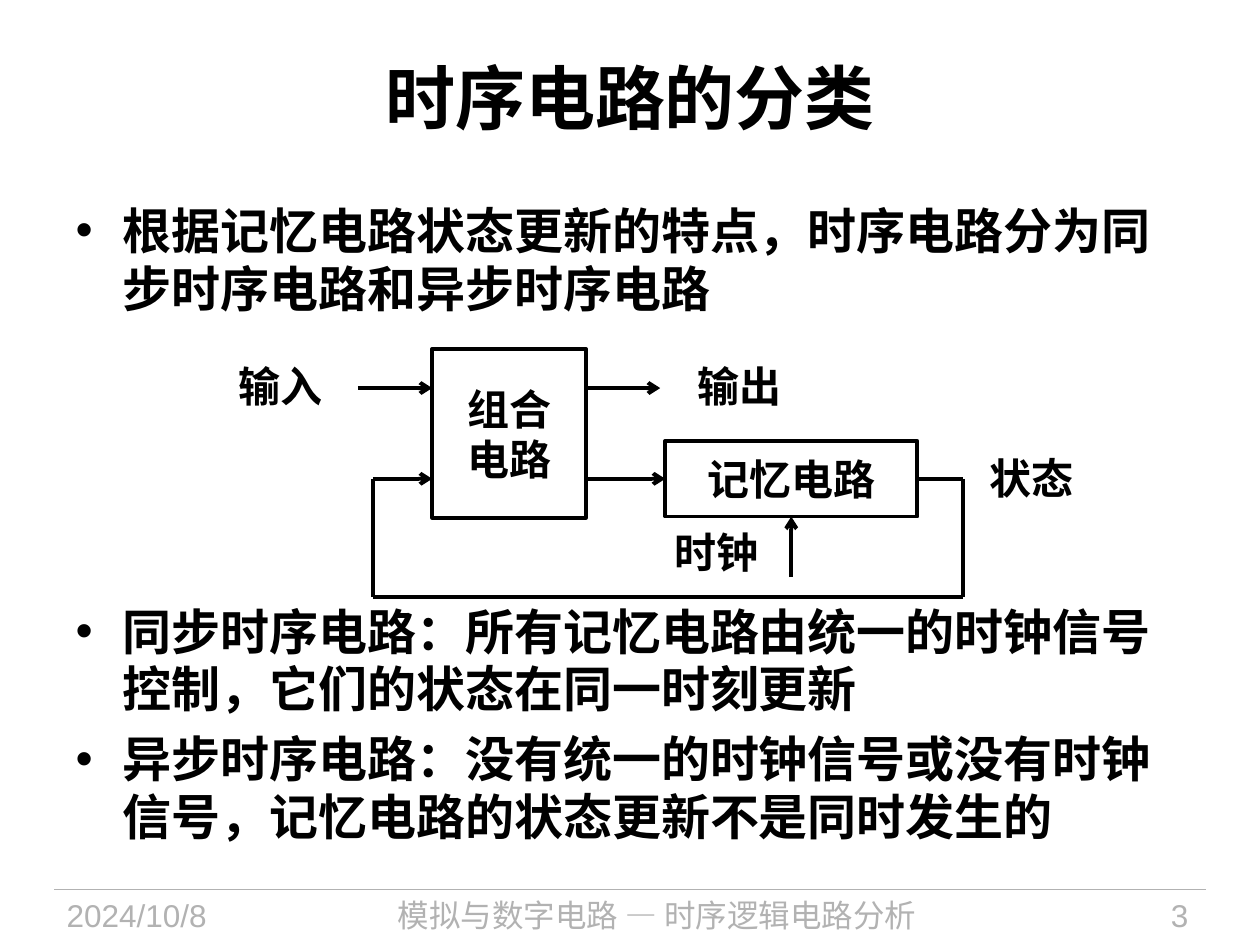
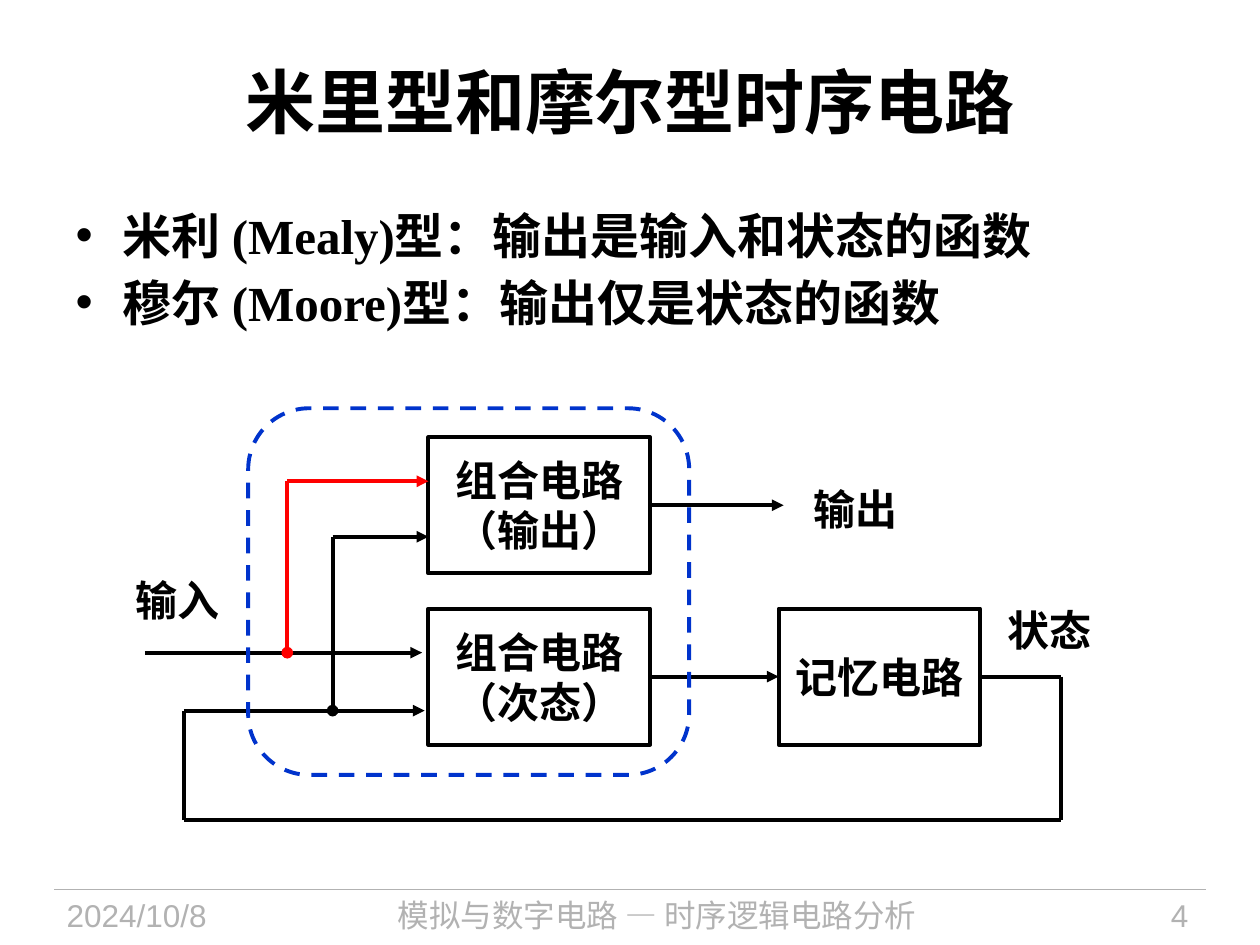
"""Builds two slides on the classes of sequential circuits."""
from lxml import etree
from pptx import Presentation
from pptx.dml.color import RGBColor
from pptx.enum.dml import MSO_LINE
from pptx.enum.shapes import MSO_CONNECTOR, MSO_SHAPE
from pptx.enum.text import MSO_ANCHOR, MSO_AUTO_SIZE, PP_ALIGN
from pptx.oxml.ns import qn
from pptx.util import Inches, Pt

BLACK = RGBColor(0x00, 0x00, 0x00)
WHITE = RGBColor(0xFF, 0xFF, 0xFF)
GREY = RGBColor(0xB2, 0xB2, 0xB2)
RED = RGBColor(0xFF, 0x00, 0x00)
BLUE = RGBColor(0x00, 0x33, 0xCC)
LEFT, MID, RIGHT = PP_ALIGN.LEFT, PP_ALIGN.CENTER, PP_ALIGN.RIGHT
TOP, CORE = MSO_ANCHOR.TOP, MSO_ANCHOR.MIDDLE
FIXED = MSO_AUTO_SIZE.NONE
RECT, ROUND = MSO_SHAPE.RECTANGLE, MSO_SHAPE.ROUNDED_RECTANGLE
DASH, STRAIGHT = MSO_LINE.DASH, MSO_CONNECTOR.STRAIGHT
SERIF, SANS, HAN = "Times New Roman", "Arial", "Noto Sans CJK SC"

HEAD = {"name": SERIF, "size": Pt(40), "bold": True}
BODY = {"name": SERIF, "size": Pt(28), "bold": True}
BLOCK = {"name": SANS, "size": Pt(24), "bold": True}
LABEL = {"name": SERIF, "size": Pt(24), "bold": True}
FOOT = {"size": Pt(18), "bold": False}
TIGHT = {"margin_left": 0, "margin_right": 0, "margin_top": 0,
         "margin_bottom": 0, "vertical_anchor": CORE}

DATE = "2024/10/8"
COURSE = "模拟与数字电路 — 时序逻辑电路分析"
RULE = [(0.43, 7.06), (9.57, 7.06)]

SLIDES = [
    {
        "title": ("时序电路的分类", (0.5, 0.14, 9, 1.25)),
        "at": (0.5, 1.55, 9, 5.43),
        "body": [
            ("根据记忆电路状态更新的特点，时序电路分为同步时序电路和异步时序电路", 0),
            ("同步时序电路：所有记忆电路由统一的时钟信号控制，它们的状态在同一时刻更新", 163),
            ("异步时序电路：没有统一的时钟信号或没有时钟信号，记忆电路的状态更新不是同时发生的", 7),
        ],
        "boxes": {
            "logic": (["组合", "电路"], (3.43, 2.77, 1.22, 1.34)),
            "store": (["记忆电路"], (5.28, 3.5, 2, 0.6)),
        },
        "wires": [
            {"pts": [(2.84, 3.08), (3.43, 3.08)], "tail": "arrow"},
            {"pts": [(4.65, 3.08), (5.24, 3.08)], "tail": "arrow"},
            {"pts": [(4.65, 3.8), (5.28, 3.8)], "tail": "arrow",
             "end": ("store", 1)},
            {"pts": [(6.28, 4.58), (6.28, 4.1)], "tail": "arrow",
             "end": ("store", 2)},
            {"pts": [(7.28, 3.8), (7.64, 3.8), (7.64, 4.74), (2.96, 4.74),
                     (2.96, 3.8), (3.43, 3.8)],
             "tail": "arrow", "begin": ("store", 3)},
        ],
        "labels": [
            ("输入", (1.58, 2.86, 1.3, 0.4)),
            ("输出", (5.24, 2.86, 1.26, 0.4)),
            ("时钟", (5.16, 4.18, 1.06, 0.4)),
            ("状态", (7.56, 3.59, 1.26, 0.4)),
        ],
    },
    {
        "title": ("米里型和摩尔型时序电路", (0.5, 0.17, 9, 1.25)),
        "at": (0.5, 1.59, 9, 1.41),
        "body": [
            ("米利 (Mealy)型：输出是输入和状态的函数", 0),
            ("穆尔 (Moore)型：输出仅是状态的函数", 5),
        ],
        "boxes": {
            "out": (["组合电路", "（输出）"], (3.4, 3.47, 1.76, 1.08)),
            "next": (["组合电路", "（次态）"], (3.4, 4.83, 1.76, 1.08)),
            "store": (["记忆电路"], (6.18, 4.83, 1.6, 1.08)),
        },
        "wires": [
            {"pts": [(1.15, 5.18), (3.35, 5.18)], "tail": "triangle"},
            {"pts": [(7.78, 5.37), (8.42, 5.37), (8.42, 6.51), (1.46, 6.51),
                     (1.46, 5.64), (3.37, 5.64)],
             "tail": "triangle", "begin": ("store", 3)},
            {"pts": [(2.64, 5.64), (2.64, 4.26), (3.4, 4.26)],
             "head": "oval", "tail": "triangle"},
            {"pts": [(2.28, 5.18), (2.28, 3.82), (3.4, 3.82)],
             "head": "oval", "tail": "triangle", "hue": RED},
            {"pts": [(5.16, 5.37), (6.18, 5.37)], "tail": "triangle",
             "begin": ("next", 3), "end": ("store", 1)},
            {"pts": [(5.16, 4.01), (6.22, 4.01)], "tail": "triangle",
             "begin": ("out", 3)},
        ],
        "labels": [
            ("输出", (6.3, 3.79, 0.98, 0.5)),
            ("状态", (7.84, 4.75, 0.98, 0.5)),
            ("输入", (0.94, 4.51, 0.94, 0.5)),
        ],
        "frame": (1.97, 3.24, 3.5, 2.91),
    },
]


def apply(obj, form):
    for key, val in form.items():
        setattr(obj, key, val)


def place(shape, at):
    apply(shape, dict(zip(("left", "top", "width", "height"), map(Inches, at))))


def write(shape, lines, font, frame, para, hue=BLACK):
    text = shape.text_frame
    text.text = "\n".join(lines)
    apply(text, {"auto_size": FIXED, "word_wrap": True, **frame})
    for item in text.paragraphs:
        apply(item, para)
        for run in item.runs:
            apply(run.font, font)
            run.font.color.rgb = hue
            east = etree.SubElement(run.font._element, qn("a:ea"))
            east.set("typeface", HAN)


def add_text(slide, text, at, font, frame, para, hue=BLACK):
    box = slide.shapes.add_textbox(*map(Inches, at))
    write(box, [text], font, frame, para, hue)


def add_box(slide, kind, at, hue=BLACK):
    box = slide.shapes.add_shape(kind, *map(Inches, at))
    box.shadow.inherit = False
    box.line.color.rgb = hue
    box.line.width = Pt(2.25)
    return box


def add_wire(slide, boxes, pts, head=None, tail=None, begin=None, end=None,
             hue=BLACK, width=2.25):
    segs = []
    for start, stop in zip(pts, pts[1:]):
        seg = slide.shapes.add_connector(
            STRAIGHT, *map(Inches, (*start, *stop)))
        seg.line.color.rgb = hue
        seg.line.width = Pt(width)
        etree.SubElement(seg._element.spPr, qn("a:effectLst"))
        segs.append(seg)
    for seg, tag, mark in ((segs[0], "a:headEnd", head),
                           (segs[-1], "a:tailEnd", tail)):
        if mark:
            ln = seg.line._get_or_add_ln()
            etree.SubElement(ln, qn(tag)).set("type", mark)
    if begin:
        segs[0].begin_connect(boxes[begin[0]], begin[1])
    if end:
        segs[-1].end_connect(boxes[end[0]], end[1])


def add_foot(slide, num):
    add_wire(slide, {}, RULE, hue=GREY, width=0.75)
    for text, left, width, name, align in (
            (DATE, 0.43, 1.88, SANS, LEFT),
            (COURSE, 2.4, 5.63, HAN, MID),
            (str(num), 8.2, 1.33, SANS, RIGHT)):
        add_text(slide, text, (left, 7.06, width, 0.44),
                 {**FOOT, "name": name}, {"vertical_anchor": TOP},
                 {"alignment": align}, GREY)


def add_slide(deck, data, num):
    slide = deck.slides.add_slide(deck.slide_layouts[1])
    add_foot(slide, num)
    title, body = slide.placeholders
    text, at = data["title"]
    place(title, at)
    write(title, [text], HEAD, {"vertical_anchor": CORE}, {"alignment": MID})
    place(body, data["at"])
    write(body, [text for text, gap in data["body"]], BODY,
          {"vertical_anchor": TOP}, {"line_spacing": Pt(33)})
    for item, (text, gap) in zip(body.text_frame.paragraphs, data["body"]):
        item.space_before = Pt(gap)

    boxes = {}
    for key, (lines, at) in data["boxes"].items():
        box = boxes[key] = add_box(slide, RECT, at)
        box.fill.solid()
        box.fill.fore_color.rgb = WHITE
        write(box, lines, BLOCK, {**TIGHT, "word_wrap": False},
              {"alignment": MID, "line_spacing": Pt(28.6)})
    for wire in data["wires"]:
        add_wire(slide, boxes, **wire)
    for text, at in data["labels"]:
        add_text(slide, text, at, LABEL, TIGHT, {"alignment": MID})
    if "frame" in data:
        frame = add_box(slide, ROUND, data["frame"], BLUE)
        frame.fill.background()
        frame.line.dash_style = DASH


def main():
    deck = Presentation()
    deck.slide_width, deck.slide_height = Inches(10), Inches(7.5)
    for num, data in enumerate(SLIDES, 3):
        add_slide(deck, data, num)
    deck.save("out.pptx")


if __name__ == "__main__":
    main()
